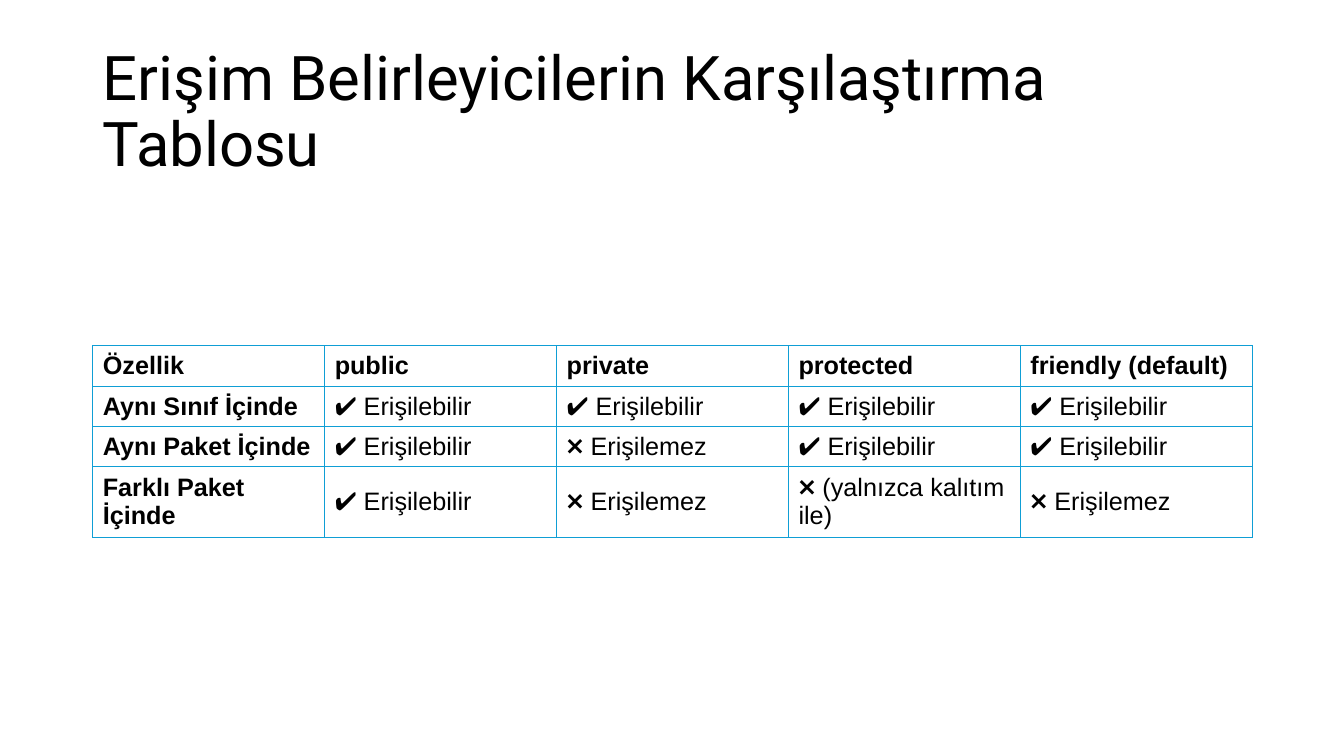
import pptx
import pptx.dml.color
import pptx.enum.text
import pptx.oxml.ns
import pptx.util
from lxml import etree

Inches = pptx.util.Inches
Pt = pptx.util.Pt
RGBColor = pptx.dml.color.RGBColor
MIDDLE = pptx.enum.text.MSO_ANCHOR.MIDDLE
qn = pptx.oxml.ns.qn

BLACK = RGBColor(0x00, 0x00, 0x00)
BORDER = RGBColor(0x0F, 0x9E, 0xD5)

YES = "✔ Erişilebilir"
NO = "❌ Erişilemez"
ACCESS_ROWS = [
    ["Özellik", "public", "private", "protected", "friendly (default)"],
    ["Aynı Sınıf İçinde", YES, YES, YES, YES],
    ["Aynı Paket İçinde", YES, NO, YES, YES],
    ["Farklı Paket İçinde", YES, NO, "❌ (yalnızca kalıtım ile)", NO],
]
ROW_HEIGHTS = [0.38, 0.38, 0.38, 0.66]
COLUMN_WIDTH = 2.3


def style_paragraph(p, font_name, size, bold=False):
    p.font.name = font_name
    p.font.size = Pt(size)
    p.font.bold = bold
    p.font.color.rgb = BLACK


def add_title(slide, text):
    s = slide.shapes.add_textbox(Inches(0.92), Inches(0.4), Inches(11.5), Inches(1.45))
    tf = s.text_frame
    tf.word_wrap = True
    tf.vertical_anchor = MIDDLE
    p = tf.paragraphs[0]
    p.text = text
    p.line_spacing = 0.9
    style_paragraph(p, "Roboto", 44)


def set_borders(cell):
    tc_pr = cell._tc.get_or_add_tcPr()
    for side in ("lnL", "lnR", "lnT", "lnB"):
        line = etree.SubElement(tc_pr, qn("a:" + side), w=str(Pt(1)))
        fill = etree.SubElement(line, qn("a:solidFill"))
        etree.SubElement(fill, qn("a:srgbClr"), val=str(BORDER))


def fill_cell(cell, text, bold):
    set_borders(cell)
    cell.fill.background()
    cell.vertical_anchor = MIDDLE
    p = cell.text_frame.paragraphs[0]
    p.text = text
    style_paragraph(p, "Arial", 18, bold)


def add_access_table(slide, rows):
    columns = len(rows[0])
    s = slide.shapes.add_table(
        len(rows), columns, Inches(0.92), Inches(3.43),
        Inches(COLUMN_WIDTH * columns), Inches(sum(ROW_HEIGHTS)))
    table = s.table
    table.first_row = False
    table.horz_banding = False
    for column in table.columns:
        column.width = Inches(COLUMN_WIDTH)
    for row, height in zip(table.rows, ROW_HEIGHTS):
        row.height = Inches(height)
    for i, texts in enumerate(rows):
        for j, text in enumerate(texts):
            fill_cell(table.cell(i, j), text, bold=i == 0 or j == 0)


def main():
    prs = pptx.Presentation()
    prs.slide_width = Inches(13.33)
    prs.slide_height = Inches(7.5)
    slide = prs.slides.add_slide(prs.slide_layouts[6])
    add_title(slide, "Erişim Belirleyicilerin Karşılaştırma Tablosu")
    add_access_table(slide, ACCESS_ROWS)
    prs.save("out.pptx")


if __name__ == "__main__":
    main()
